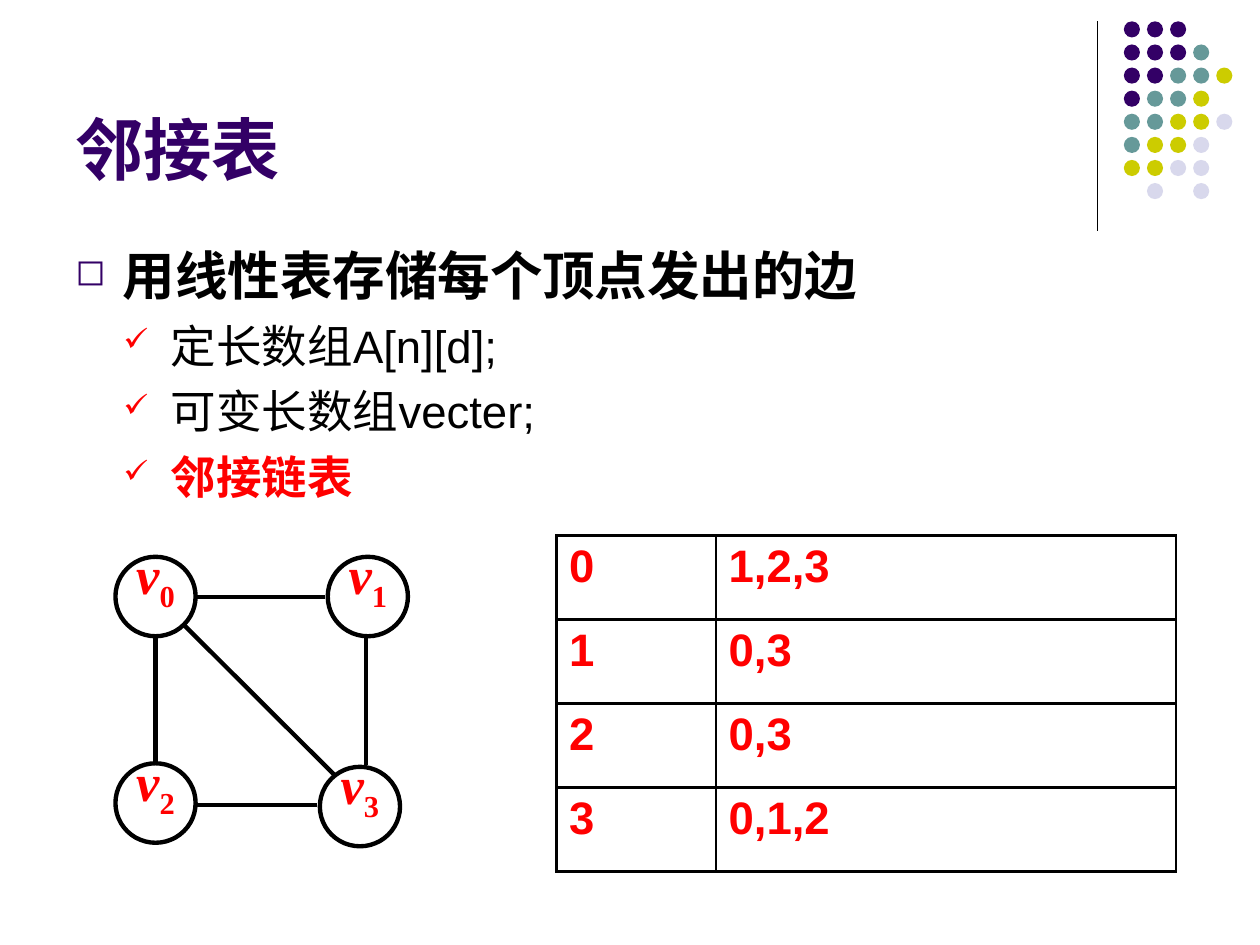
from dataclasses import dataclass

from lxml.etree import SubElement as Sub
from pptx import Presentation as Deck
from pptx.dml.color import RGBColor as Color
from pptx.enum.shapes import MSO_CONNECTOR as Link, MSO_SHAPE as Form
from pptx.enum.text import MSO_ANCHOR as Anchor, PP_ALIGN as Align
from pptx.oxml.ns import qn
from pptx.util import Pt


@dataclass(frozen=True)
class Theme:
    ink: str = "000000"
    red: str = "FF0000"
    plum: str = "330066"
    teal: str = "669999"
    lime: str = "CCCC00"
    mist: str = "D8D8EC"
    sans: str = "Arial"
    serif: str = "Times New Roman"
    head: float = 39
    lead: float = 30
    item: float = 26
    thin: float = 0.75
    rule: float = 1.47
    bold: float = 2.5


class Page:
    """Draws styled elements on one slide, with lengths in points."""

    def __init__(self, slide, theme):
        self.slide, self.theme = slide, theme

    def run(self, para, text, size, color, bold=True, face=None, slant=False):
        run = para.add_run()
        run.text = text
        font = run.font
        font.name, font.size = face or self.theme.sans, Pt(size)
        font.bold, font.italic = bold, slant
        font.color.rgb = Color.from_string(color)
        return run

    def box(self, x, y, w, h, anchor=Anchor.TOP):
        frame = self.slide.shapes.add_textbox(Pt(x), Pt(y), Pt(w), Pt(h)).text_frame
        frame.word_wrap, frame.vertical_anchor = True, anchor
        return frame

    def bullet(self, para, mark, color, left, hang=27):
        props = para._p.get_or_add_pPr()
        props.set("marL", str(Pt(left)))
        props.set("indent", str(-Pt(hang)))
        Sub(Sub(props, qn("a:buClr")), qn("a:srgbClr"), val=color)
        Sub(props, qn("a:buSzPct"), val="70000")
        Sub(props, qn("a:buChar"), char=mark)

    def line(self, start, end, width):
        x, y = start
        line = self.slide.shapes.add_connector(Link.STRAIGHT, Pt(x), Pt(y), *map(Pt, end))
        line.line.color.rgb = Color.from_string(self.theme.ink)
        line.line.width = Pt(width)
        Sub(line._element.spPr, qn("a:effectLst"))

    def oval(self, x, y, w, h):
        oval = self.slide.shapes.add_shape(Form.OVAL, Pt(x), Pt(y), Pt(w), Pt(h))
        oval.shadow.inherit = False
        return oval

    def dot(self, x, y, color, size=9.2):
        dot = self.oval(x, y, size, size)
        dot.fill.solid()
        dot.fill.fore_color.rgb = Color.from_string(color)
        dot.line.fill.background()

    def node(self, x, y, index):
        look = self.theme
        node = self.oval(x, y, 45.8, 45.4)
        node.fill.background()
        node.line.color.rgb = Color.from_string(look.ink)
        node.line.width = Pt(look.bold)
        frame = node.text_frame
        frame.margin_left = frame.margin_right = 0
        frame.margin_top = frame.margin_bottom = 0
        frame.word_wrap, frame.vertical_anchor = False, Anchor.TOP
        para = frame.paragraphs[0]
        para.alignment, para.line_spacing = Align.CENTER, Pt(26)
        self.run(para, "v", look.lead, look.red, face=look.serif, slant=True)
        sub = self.run(para, str(index), look.lead, look.red, face=look.serif)
        sub.font._element.set("baseline", "-25000")

    def edge(self, cell):
        props = cell._tc.get_or_add_tcPr()
        for side in ("lnL", "lnR", "lnT", "lnB"):
            line = Sub(props, qn(f"a:{side}"), w=str(Pt(self.theme.rule)))
            Sub(Sub(line, qn("a:solidFill")), qn("a:srgbClr"), val=self.theme.ink)

    def table(self, x, y, wide, high, rows):
        look = self.theme
        grid = self.slide.shapes.add_table(
            len(rows), len(wide), Pt(x), Pt(y), Pt(sum(wide)), Pt(high * len(rows))).table
        grid.first_row = grid.horz_banding = False
        for col, width in zip(grid.columns, wide):
            col.width = Pt(width)
        for r, row in enumerate(rows):
            grid.rows[r].height = Pt(high)
            for c, text in enumerate(row):
                cell = grid.cell(r, c)
                self.edge(cell)
                cell.fill.background()
                self.run(cell.text_frame.paragraphs[0], text, look.item, look.red)


def main():
    look = Theme()
    deck = Deck()
    deck.slide_width, deck.slide_height = Pt(720), Pt(540)
    page = Page(deck.slides.add_slide(deck.slide_layouts[6]), look)

    page.line((627, 12.2), (627, 132), look.thin)
    hues = {"p": look.plum, "t": look.teal, "l": look.lime, "m": look.mist}
    dots = ("ppp", "pppt", "ppttl", "pttl", "ttllm", "tllm", "llmm", "-m-m")
    for r, row in enumerate(dots):
        for c, key in enumerate(row):
            if key in hues:
                page.dot(642.2 + 13.2 * c, 12.2 + 13.2 * r, hues[key])

    title = page.box(36, 9.4, 594, 102.2, Anchor.BOTTOM)
    page.run(title.paragraphs[0], "邻接表", look.head, look.plum)

    body = page.box(36, 135.4, 648, 347)
    lead = body.paragraphs[0]
    page.bullet(lead, "◻", look.plum, 27)
    page.run(lead, "用线性表存储每个顶点发出的边", look.lead, look.ink)
    items = (("定长数组A[n][d];", look.ink, False),
             ("可变长数组vecter;", look.ink, False),
             ("邻接链表", look.red, True))
    for text, color, bold in items:
        para = body.add_paragraph()
        para.space_before = Pt(6.5)
        page.bullet(para, "✓", look.red, 54.5)
        page.run(para, text, look.item, color, bold)

    edges = (((111.8, 341), (186, 341)), ((209, 363.6), (209, 437.4)),
             ((111.8, 460), (181, 460)), ((88.8, 363.6), (88.8, 437.4)),
             ((105.5, 357.5), (191.5, 443.2)))
    for start, end in edges:
        page.line(start, end, look.bold)
    nodes = ((66, 318.2), (187.3, 318.2), (66, 436.2), (182.8, 438.2))
    for index, (x, y) in enumerate(nodes):
        page.node(x, y, index)

    links = ("1,2,3", "0,3", "0,3", "0,1,2")
    page.table(318, 306, (91.2, 263), 48, [(str(i), text) for i, text in enumerate(links)])
    deck.save("out.pptx")


if __name__ == "__main__":
    main()
